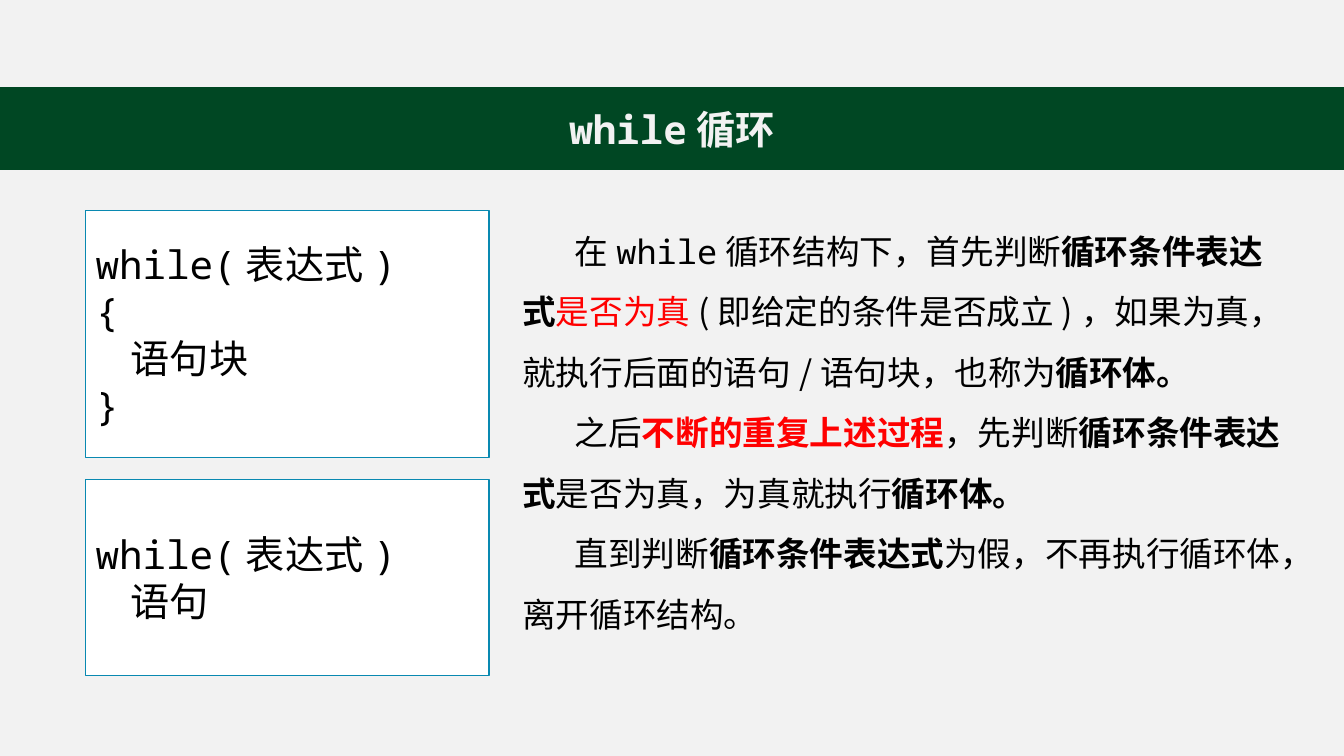
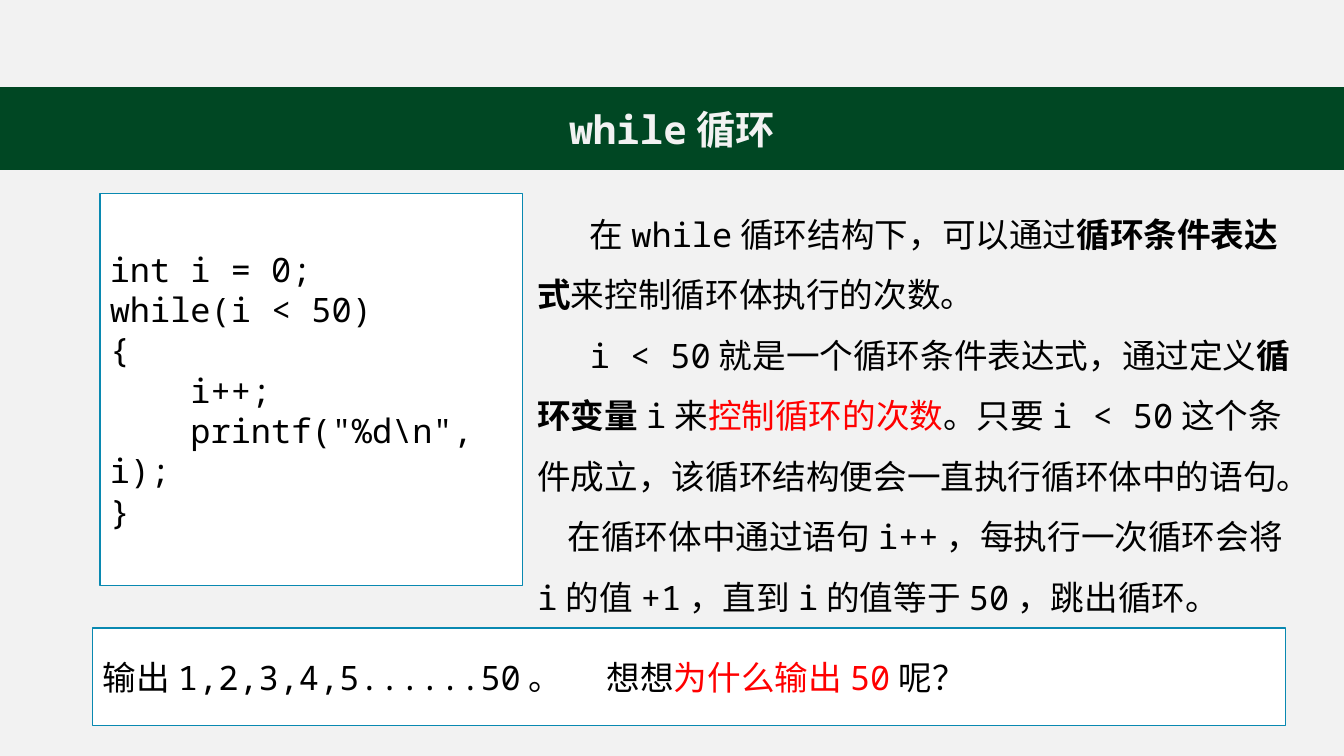
import pptx
import pptx.dml.color
import pptx.enum.shapes
import pptx.enum.text
import pptx.util
import pptx.oxml.ns
import lxml.etree

Inches = pptx.util.Inches
Pt = pptx.util.Pt

# Shared look
SLIDE_WIDTH, SLIDE_HEIGHT = 13.33, 7.5
PAPER, GREEN, BLUE, WHITE, BLACK, RED = (
    "F2F2F2", "004723", "0989B1", "FFFFFF", "000000", "FF0000")
SANS, MONO = "Noto Sans CJK SC", "Noto Sans Mono"
HEADER = (0, 0, SLIDE_WIDTH, 0.87)
TITLE_BAND = (0, 0.87, SLIDE_WIDTH, 0.81)
INDENT = 0.52

# Run styles: font, colour, bold
STYLES = {
    "title": (MONO, PAPER, True),
    "plain": (SANS, BLACK, False),
    "bold": (SANS, BLACK, True),
    "red": (SANS, RED, False),
    "red bold": (SANS, RED, True),
    "code": (MONO, BLACK, False),
    "red code": (MONO, RED, False),
}


def code_lines(*lines):
    return [[(line, "code")] for line in lines]


# Content: each paragraph is a list of (text, style)
TITLE = [[("while循环", "title")]]
PAGES = [
    {
        "body": {
            "place": (5.18, 2.09, 7.64, 4.24),
            "indents": (INDENT, INDENT, INDENT),
            "text": [
                [("在", "plain"), ("while", "code"),
                 ("循环结构下，首先判断", "plain"), ("循环条件表达式", "bold"),
                 ("是否为真", "red"),
                 ("(即给定的条件是否成立)，如果为真，就执行后面的语句/语句块，也称为", "plain"),
                 ("循环体。", "bold")],
                [("之后", "plain"), ("不断的重复上述过程", "red bold"),
                 ("，先判断", "plain"), ("循环条件表达式", "bold"),
                 ("是否为真，为真就执行", "plain"), ("循环体。", "bold")],
                [("直到判断", "plain"), ("循环条件表达式", "bold"),
                 ("为假，不再执行循环体，离开循环结构。", "plain")],
            ],
        },
        "panels": [
            {"place": (0.85, 2.09, 4, 2.45), "size": 28,
             "text": code_lines("while(表达式)", "{", "    语句块", "}")},
            {"place": (0.85, 4.76, 4, 1.94), "size": 28,
             "text": code_lines("while(表达式)", "    语句")},
        ],
    },
    {
        "body": {
            "place": (5.33, 1.92, 7.5, 4.24),
            "indents": (INDENT, INDENT, 0.3),
            "text": [
                [("在", "plain"), ("while", "code"),
                 ("循环结构下，可以通过", "plain"), ("循环条件表达式", "bold"),
                 ("来控制循环体执行的次数。", "plain")],
                [("i < 50", "code"),
                 ("就是一个循环条件表达式，通过定义", "plain"),
                 ("循环变量", "bold"), ("i来", "code"),
                 ("控制循环的次数", "red code"),
                 ("。只要i < 50这个条件成立，该循环结构便会一直执行循环体中的语句。", "code")],
                [("在循环体中通过语句i++，每执行一次循环会将i的值+1，直到i的值等于50，跳出循环。", "code")],
            ],
        },
        "panels": [
            {"place": (0.99, 1.92, 4.19, 3.89), "size": 24,
             "text": code_lines("int i = 0;", "while(i < 50)", "{", "    i++;",
                                '    printf("%d\\n", i);', "}")},
            {"place": (0.92, 6.23, 11.83, 0.97), "size": 24,
             "text": [[("输出1,2,3,4,5......50。\t想想", "code"),
                       ("为什么输出50", "red code"), ("呢？", "code")]]},
        ],
    },
]


def color(value):
    return pptx.dml.color.RGBColor.from_string(value)


def set_all(target, values):
    for name, value in values.items():
        setattr(target, name, value)


def write(frame, paragraphs, size, para_format, indents=()):
    """Fill a text frame with styled paragraphs."""
    for number, runs in enumerate(paragraphs):
        para = frame.add_paragraph() if number else frame.paragraphs[0]
        set_all(para, para_format)
        if indents:
            para._p.get_or_add_pPr().set("indent", str(Inches(indents[number])))
        for text, style in runs:
            font_name, font_color, bold = STYLES[style]
            span = para.add_run()
            span.text = text
            set_all(span.font, {"name": font_name, "size": Pt(size), "bold": bold})
            span.font.color.rgb = color(font_color)
            # Chinese characters take the sans font in every style
            east_asian = lxml.etree.SubElement(
                span._r.get_or_add_rPr(), pptx.oxml.ns.qn("a:ea"))
            east_asian.set("typeface", SANS)


def add_box(page, place, fill, line=None):
    """Add a rectangle, outlined if a line colour is given."""
    box = page.shapes.add_shape(
        pptx.enum.shapes.MSO_SHAPE.RECTANGLE, *map(Inches, place))
    box.shadow.inherit = False
    box.fill.solid()
    box.fill.fore_color.rgb = color(fill)
    if line:
        box.line.color.rgb = color(line)
        box.line.width = Pt(1)
    else:
        box.line.fill.background()
    set_all(box.text_frame, {
        "word_wrap": True,
        "vertical_anchor": pptx.enum.text.MSO_ANCHOR.MIDDLE})
    return box


def add_body(page, body):
    """Add the explanation beside the code."""
    frame = page.shapes.add_textbox(*map(Inches, body["place"])).text_frame
    set_all(frame, {
        "word_wrap": True,
        "auto_size": pptx.enum.text.MSO_AUTO_SIZE.SHAPE_TO_FIT_TEXT,
        "margin_left": 0, "margin_top": 0,
        "margin_right": 0, "margin_bottom": 0})
    write(frame, body["text"], 24, {"line_spacing": 1.5}, body["indents"])


def add_page(deck, content):
    page = deck.slides.add_slide(deck.slide_layouts[6])
    # Header strip and title band
    add_box(page, HEADER, PAPER)
    band = add_box(page, TITLE_BAND, GREEN, GREEN)
    write(band.text_frame, TITLE, 28,
          {"alignment": pptx.enum.text.PP_ALIGN.CENTER})
    # Explanation and code panels
    add_body(page, content["body"])
    for panel in content["panels"]:
        box = add_box(page, panel["place"], WHITE, BLUE)
        write(box.text_frame, panel["text"], panel["size"],
              {"alignment": pptx.enum.text.PP_ALIGN.LEFT})


def main():
    deck = pptx.Presentation()
    set_all(deck, {"slide_width": Inches(SLIDE_WIDTH),
                   "slide_height": Inches(SLIDE_HEIGHT)})
    background = deck.slide_master.background.fill
    background.solid()
    background.fore_color.rgb = color(PAPER)
    for content in PAGES:
        add_page(deck, content)
    deck.save("out.pptx")


if __name__ == "__main__":
    main()
